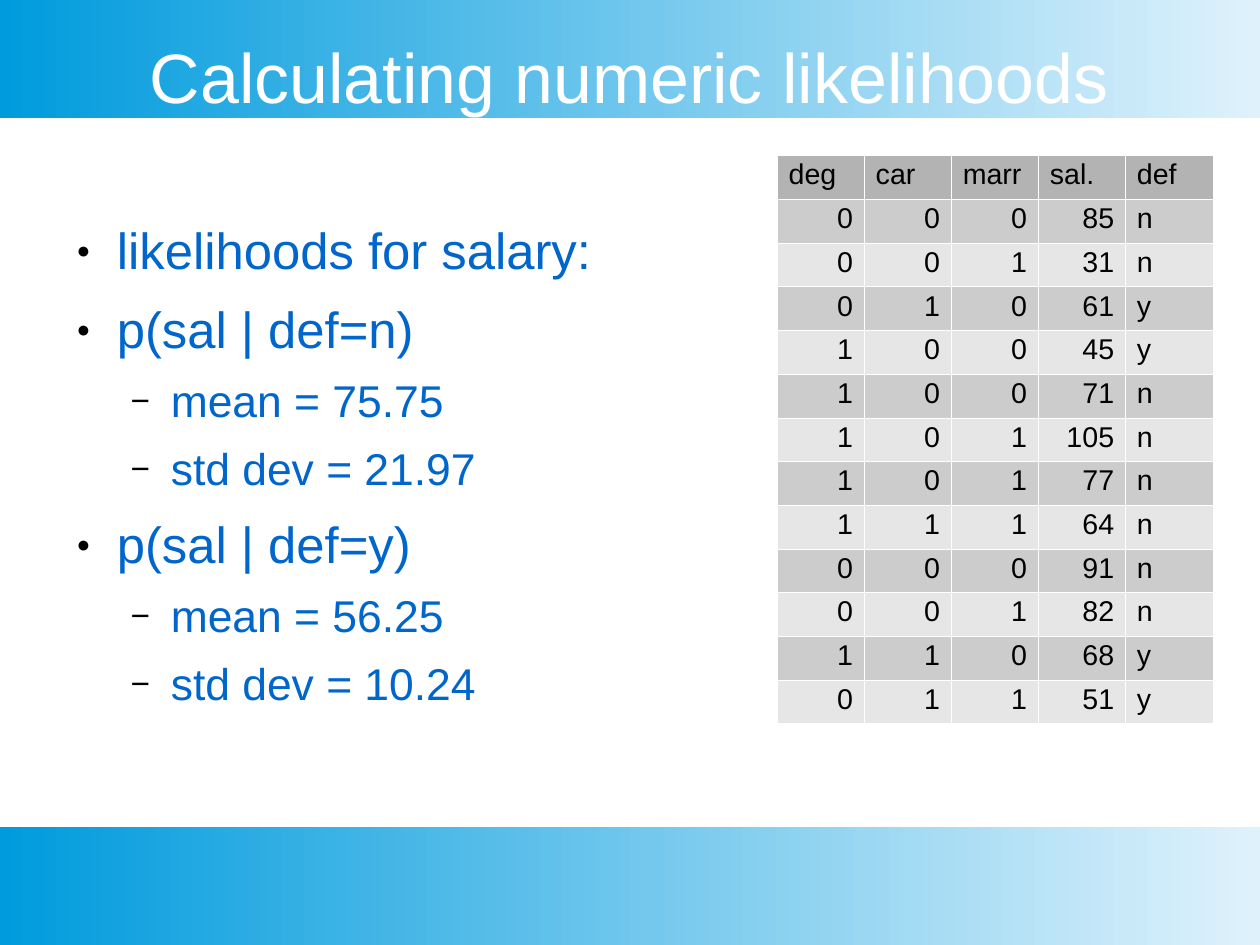
from lxml import etree
from pptx import Presentation
from pptx.dml.color import RGBColor
from pptx.enum.shapes import MSO_SHAPE
from pptx.enum.text import MSO_ANCHOR, MSO_AUTO_SIZE, PP_ALIGN
from pptx.oxml.ns import qn
from pptx.util import Pt

WHITE = RGBColor(0xFF, 0xFF, 0xFF)
BLACK = RGBColor(0x00, 0x00, 0x00)
PALE_BLUE = RGBColor(0xDF, 0xF2, 0xFC)
SKY_BLUE = RGBColor(0x00, 0x9B, 0xDD)
TEXT_BLUE = RGBColor(0x00, 0x66, 0xCC)
HEADER_GREY = RGBColor(0xB3, 0xB3, 0xB3)
ROW_GREYS = (RGBColor(0xCC, 0xCC, 0xCC), RGBColor(0xE6, 0xE6, 0xE6))

SLIDE_WIDTH, SLIDE_HEIGHT = 793.7, 595.28
BAND_HEIGHT = 74.16

# Per list level: font size, space before, left indent, bullet, bullet percent
LIST_LEVELS = (
    (32, 14.3, 34, "●", 45),
    (28, 11.4, 68, "−", 75),
)
HANGING = 25.4

LIKELIHOODS = (
    (0, "likelihoods for salary:"),
    (0, "p(sal | def=n)"),
    (1, "mean = 75.75"),
    (1, "std dev = 21.97"),
    (0, "p(sal | def=y)"),
    (1, "mean = 56.25"),
    (1, "std dev = 10.24"),
)
COLUMNS = ("deg", "car", "marr", "sal.", "def")
CUSTOMERS = (
    (0, 0, 0, 85, "n"),
    (0, 0, 1, 31, "n"),
    (0, 1, 0, 61, "y"),
    (1, 0, 0, 45, "y"),
    (1, 0, 0, 71, "n"),
    (1, 0, 1, 105, "n"),
    (1, 0, 1, 77, "n"),
    (1, 1, 1, 64, "n"),
    (0, 0, 0, 91, "n"),
    (0, 0, 1, 82, "n"),
    (1, 1, 0, 68, "y"),
    (0, 1, 1, 51, "y"),
)


class SlideBuilder:
    font = "Arial"
    line_spacing = 0.93

    def __init__(self, slide):
        self.slide = slide

    def format_paragraph(self, paragraph, size, color, align=PP_ALIGN.LEFT):
        paragraph.alignment = align
        paragraph.line_spacing = self.line_spacing
        for run in paragraph.runs:
            run.font.name = self.font
            run.font.size = Pt(size)
            run.font.color.rgb = color

    def band(self, top):
        """Draw a full-width gradient band behind the placeholders."""
        band = self.slide.shapes.add_shape(
            MSO_SHAPE.RECTANGLE, 0, Pt(top), Pt(SLIDE_WIDTH), Pt(BAND_HEIGHT))
        band.shadow.inherit = False
        band.line.fill.background()
        band.fill.gradient()
        band.fill.gradient_angle = 180
        for stop, color in zip(band.fill.gradient_stops, (PALE_BLUE, SKY_BLUE)):
            stop.color.rgb = color
        band.element.getparent().insert(2, band.element)

    def place(self, placeholder, left, top, width, height, inset_top, anchor):
        placeholder.left, placeholder.top = Pt(left), Pt(top)
        placeholder.width, placeholder.height = Pt(width), Pt(height)
        frame = placeholder.text_frame
        frame.margin_left = frame.margin_right = frame.margin_bottom = 0
        frame.margin_top = Pt(inset_top)
        frame.vertical_anchor = anchor
        frame.word_wrap = True
        frame.auto_size = MSO_AUTO_SIZE.NONE
        return frame

    def title(self, text):
        frame = self.place(self.slide.shapes.title, 39.6, 23.76, 714.24, 50.4,
                           2.88, MSO_ANCHOR.MIDDLE)
        frame.text = text
        self.format_paragraph(frame.paragraphs[0], 44, WHITE, PP_ALIGN.CENTER)

    def bullet(self, paragraph, indent, char, percent):
        properties = paragraph._p.get_or_add_pPr()
        properties.set("marL", str(Pt(indent)))
        properties.set("indent", str(-Pt(HANGING)))
        color = etree.SubElement(properties, qn("a:buClr"))
        etree.SubElement(color, qn("a:srgbClr"), val=str(BLACK))
        etree.SubElement(properties, qn("a:buSzPct"), val=str(percent * 1000))
        etree.SubElement(properties, qn("a:buFont"), typeface=self.font)
        etree.SubElement(properties, qn("a:buChar"), char=char)

    def bullet_list(self, items):
        frame = self.place(self.slide.placeholders[1], 39.6, 138.96, 714.24, 345.6,
                           2.16, MSO_ANCHOR.TOP)
        frame.text = "\n".join(text for _, text in items)
        for paragraph, (level, _) in zip(frame.paragraphs, items):
            size, space_before, indent, char, percent = LIST_LEVELS[level]
            paragraph.level = level
            self.format_paragraph(paragraph, size, TEXT_BLUE)
            paragraph.space_before = Pt(space_before)
            self.bullet(paragraph, indent, char, percent)

    def cell(self, cell, value, fill):
        cell.margin_left = cell.margin_right = Pt(7.2)
        cell.margin_top = cell.margin_bottom = Pt(3.6)
        properties = cell._tc.get_or_add_tcPr()
        for side in ("lnL", "lnR", "lnT", "lnB"):
            border = etree.SubElement(properties, qn(f"a:{side}"), w=str(Pt(0.06)))
            solid = etree.SubElement(border, qn("a:solidFill"))
            etree.SubElement(solid, qn("a:srgbClr"), val=str(WHITE))
        cell.fill.solid()
        cell.fill.fore_color.rgb = fill
        cell.text_frame.text = str(value)
        align = PP_ALIGN.RIGHT if isinstance(value, int) else PP_ALIGN.LEFT
        self.format_paragraph(cell.text_frame.paragraphs[0], 18, BLACK, align)

    def table(self, header, records, left, top, column_width, row_height):
        rows = (header, *records)
        table = self.slide.shapes.add_table(
            len(rows), len(header), Pt(left), Pt(top),
            Pt(column_width * len(header)), Pt(row_height * len(rows))).table
        table.first_row = table.horz_banding = False
        for column in table.columns:
            column.width = Pt(column_width)
        for i, values in enumerate(rows):
            table.rows[i].height = Pt(row_height)
            fill = ROW_GREYS[(i - 1) % 2] if i else HEADER_GREY
            for j, value in enumerate(values):
                self.cell(table.cell(i, j), value, fill)


def main():
    presentation = Presentation()
    presentation.slide_width = Pt(SLIDE_WIDTH)
    presentation.slide_height = Pt(SLIDE_HEIGHT)
    layout = presentation.slide_layouts[1]
    builder = SlideBuilder(presentation.slides.add_slide(layout))

    for top in (0, SLIDE_HEIGHT - BAND_HEIGHT):
        builder.band(top)
    builder.title("Calculating numeric likelihoods")
    builder.bullet_list(LIKELIHOODS)
    builder.table(COLUMNS, CUSTOMERS, left=489.6, top=97.92,
                  column_width=54.86, row_height=27.53)
    presentation.save("out.pptx")


if __name__ == "__main__":
    main()
